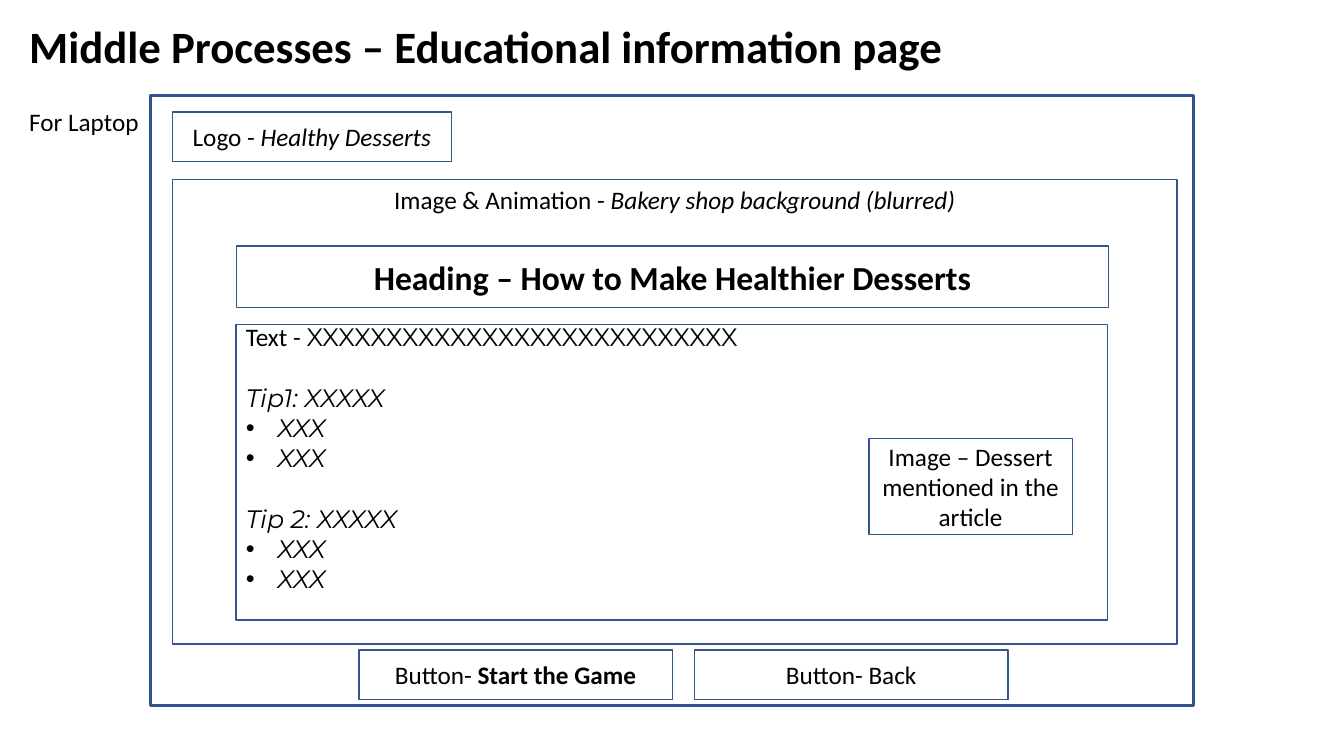
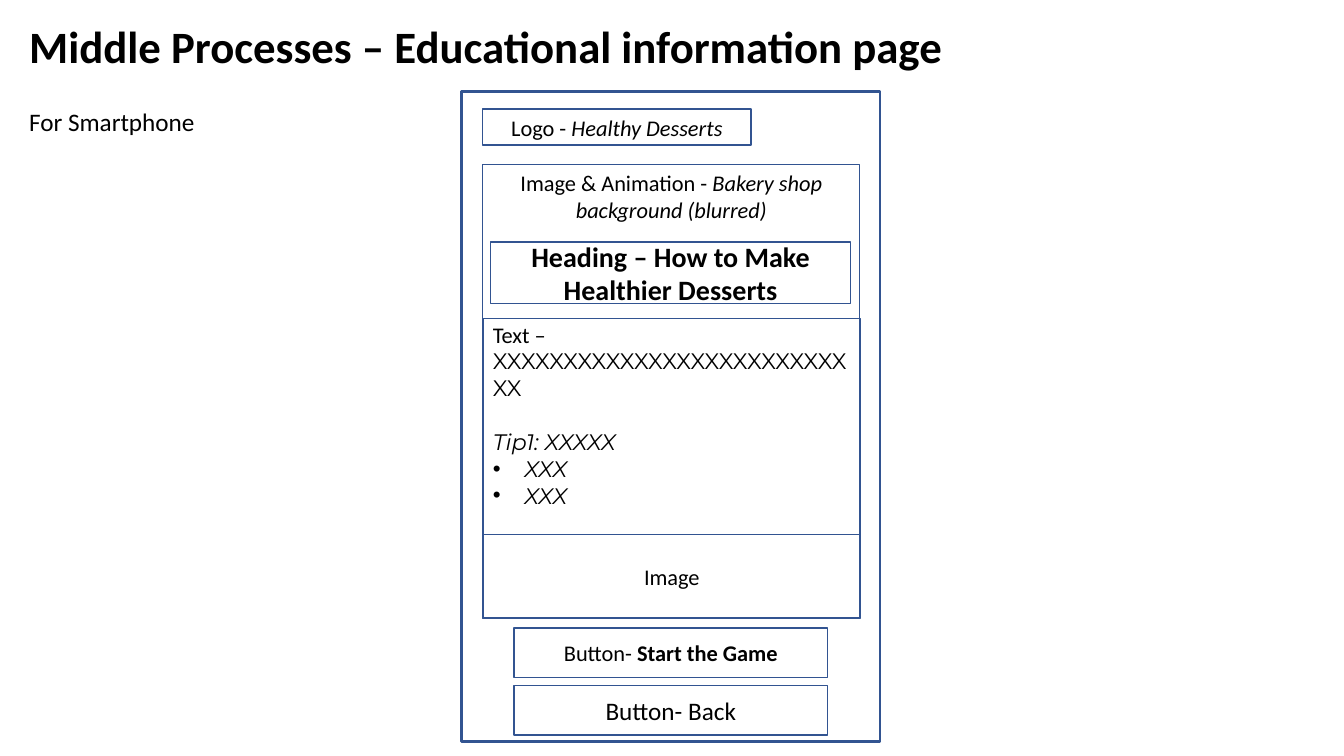
from lxml import etree
from pptx import Presentation
from pptx.dml.color import RGBColor
from pptx.enum.shapes import MSO_SHAPE as Preset
from pptx.enum.text import MSO_ANCHOR as Anchor, MSO_AUTO_SIZE as AutoSize, PP_ALIGN as Align
from pptx.oxml.ns import qn
from pptx.util import Pt

# Content: every part is (role, position and size, text size, paragraphs);
# a paragraph is (kind, runs) and a run is (text, style).
TITLE = "Middle Processes – Educational information page"
LOGO = [("label", [("Logo - ", "plain"), ("Healthy Desserts", "italic")])]
BACKDROP = [("label", [("Image & Animation - ", "plain"),
                       ("Bakery shop background (blurred)", "italic")])]
HEADING = [("label", [("Heading – How to Make Healthier Desserts", "bold")])]
START = [("label", [("Button- ", "plain"), ("Start the Game", "bold")])]
BACK = [("label", [("Button- Back", "plain")])]
FILLER = "X" * 27


def tip(name):
    """Return a tip line with its two bullets."""
    bullet = ("bullet", [("XXX", "sample italic")])
    return [("tip", [(name + ": XXXXX", "sample italic")]), bullet, bullet]


def article(lead, *tips):
    """Return the article text: a lead line, then the named tips."""
    lines = [("lead", [(lead, "plain"), (FILLER, "sample")])]
    return lines + [line for name in tips for line in tip(name)]


SCREENS = [
    ("For Laptop", [
        ("frame", (107.3, 68.4, 745.2, 435.6), 18, []),
        ("logo", (123.1, 79.9, 199.4, 35.3), 18, LOGO),
        ("backdrop", (123.1, 128.2, 717.8, 331.9), 18, BACKDROP),
        ("heading", (169, 175.7, 622.8, 43.9), 24, HEADING),
        ("article", (168.5, 231.8, 622.8, 211), 18, article("Text - ", "Tip1", "Tip 2")),
        ("image", (620.6, 313.2, 145.4, 68.4), 18,
         [("label", [("Image – Dessert mentioned in the article", "plain")])]),
        ("button", (256.3, 464.4, 223.9, 35.3), 18, START),
        ("button", (496.1, 464.4, 223.9, 35.3), 18, BACK),
    ]),
    ("For Smartphone", [
        ("frame", (329.8, 65.5, 298.8, 464.4), 16, []),
        ("logo", (344.9, 77.8, 191.5, 25.9), 16, LOGO),
        ("backdrop", (344.9, 117.4, 269.3, 324), 16, BACKDROP),
        ("heading", (350.6, 172.8, 257, 43.9), 20, HEADING),
        ("article", (344.9, 227.5, 270, 213.8), 16, article("Text – ", "Tip1")),
        ("image", (344.9, 381.6, 270, 59.8), 16, [("label", [("Image", "plain")])]),
        ("button", (367.2, 448.6, 223.9, 35.3), 16, START),
        ("button", (367.2, 489.6, 223.9, 35.3), 18, BACK),
    ]),
]

COLORS = {"ink": "000000", "outline": "325491"}
STYLES = {
    "plain": {"name": "Calibri"},
    "bold": {"name": "Calibri", "bold": True},
    "italic": {"name": "Calibri", "italic": True},
    "sample": {"name": "Montserrat"},
    "sample italic": {"name": "Montserrat", "italic": True},
}
TITLE_AREA = (13.7, 10.1, 673.9, 46.1)
CAPTION_AREA = (13.7, 72.7, 134, 28.8)
ARTICLE_TOP = {18: -2, 16: 1.6}  # top inset for each text size
LINE_PITCH = 1.2
BULLET_INDENT = 22.5


def place(shape, area):
    """Move and size a shape, in points."""
    for name, value in zip(("left", "top", "width", "height"), area):
        setattr(shape, name, Pt(value))


def add_bullet(para):
    """Give a paragraph a hanging round bullet."""
    properties = para._p.get_or_add_pPr()
    properties.set("marL", str(Pt(BULLET_INDENT)))
    properties.set("indent", str(-Pt(BULLET_INDENT)))
    etree.SubElement(properties, qn("a:buFont")).set("typeface", "Arial")
    etree.SubElement(properties, qn("a:buChar")).set("char", "•")


def write(frame, paragraphs, size):
    """Fill a text frame with styled paragraphs."""
    for index, (kind, runs) in enumerate(paragraphs):
        para = frame.add_paragraph() if index else frame.paragraphs[0]
        para.alignment = Align.CENTER if kind == "label" else Align.LEFT
        if kind == "tip":
            para.space_before = Pt(size * LINE_PITCH)
        if kind == "bullet":
            add_bullet(para)
        for text, style in runs:
            span = para.add_run()
            span.text = text
            span.font.size = Pt(size)
            span.font.color.rgb = RGBColor.from_string(COLORS["ink"])
            for name, value in STYLES[style].items():
                setattr(span.font, name, value)


def add_box(page, role, area, size, paragraphs):
    """Draw one outlined wireframe box with its text."""
    box = page.shapes.add_shape(Preset.RECTANGLE, *map(Pt, area))
    box.shadow.inherit = False
    box.fill.background()
    box.line.color.rgb = RGBColor.from_string(COLORS["outline"])
    box.line.width = Pt(2 if role == "frame" else 1)
    frame = box.text_frame
    frame.word_wrap = True
    frame.vertical_anchor = Anchor.TOP if role in ("backdrop", "article") else Anchor.MIDDLE
    if role == "article":
        frame.margin_top = Pt(ARTICLE_TOP[size])
    write(frame, paragraphs, size)


def add_screen(deck, layout, caption, parts):
    """Add a page with its title, caption and wireframe."""
    page = deck.slides.add_slide(layout)
    note = page.shapes.add_textbox(*map(Pt, CAPTION_AREA))
    for shape, text, style, size in ((page.shapes.title, TITLE, "bold", 32),
                                     (note, caption, "plain", 18)):
        frame = shape.text_frame
        settings = {"word_wrap": False, "auto_size": AutoSize.NONE,
                    "vertical_anchor": Anchor.TOP}
        for name, value in settings.items():
            setattr(frame, name, value)
        write(frame, [("heading", [(text, style)])], size)
    for part in parts:
        add_box(page, *part)


deck = Presentation()
deck.slide_width, deck.slide_height = Pt(960), Pt(540)
title_layout = deck.slide_layouts.get_by_name("Title Only")
place(title_layout.placeholders[0], TITLE_AREA)
for caption, parts in SCREENS:
    add_screen(deck, title_layout, caption, parts)
deck.save("out.pptx")
